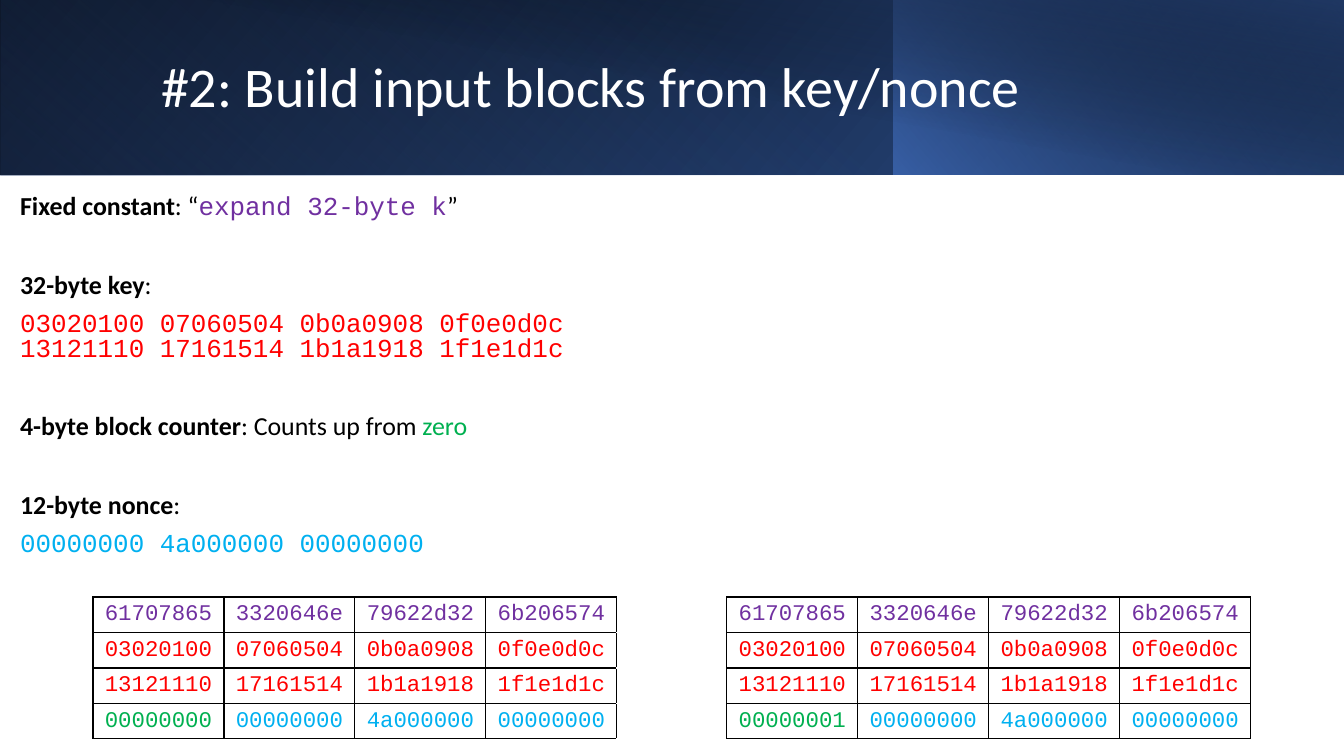
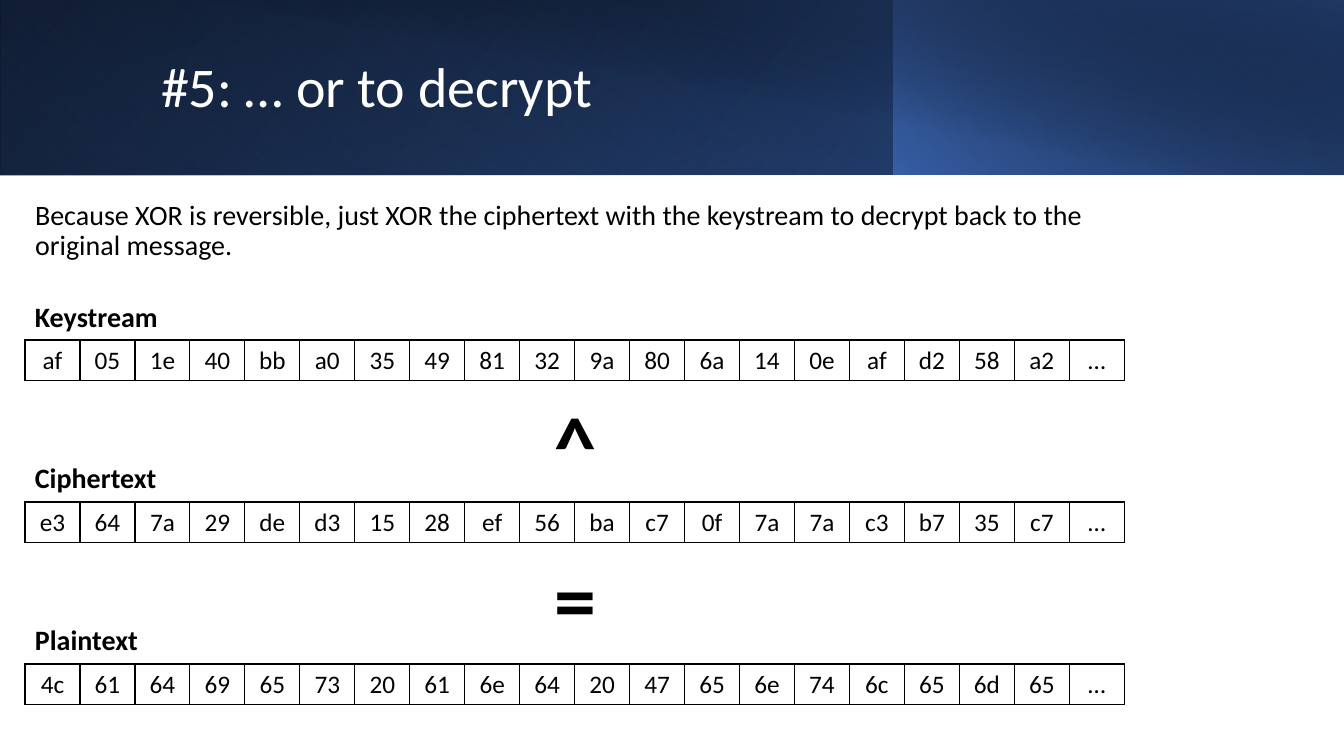
from lxml import etree
from pptx import Presentation
from pptx import util as u
from pptx.dml.color import RGBColor
from pptx.enum import shapes, text
from pptx.oxml import ns

SCALE = 914400 / 100.8
WIDTH, HEIGHT = 1344, 756
SANS, MONO = "Calibri", "Courier New"

BLACK = RGBColor(0x00, 0x00, 0x00)
WHITE = RGBColor(0xFF, 0xFF, 0xFF)
NAVY = RGBColor(0x20, 0x38, 0x64)
ROYAL = RGBColor(0x2F, 0x55, 0x97)
AZURE = RGBColor(0x44, 0x72, 0xC4)
PURPLE = RGBColor(0x70, 0x30, 0xA0)
RED = RGBColor(0xFF, 0x00, 0x00)
GREEN = RGBColor(0x00, 0xB0, 0x50)
CYAN = RGBColor(0x00, 0xB0, 0xF0)

# Each layer: box, flipped, rotation, angle, (position, colour, opacity) stops
BAND_LAYERS = [
    ((0, 0, WIDTH, 175), True, 0, 140, [(0, BLACK, 100), (100, ROYAL, 100)]),
    ((0, 0, 895, 175), True, 180, 230, [(20, AZURE, 0), (100, NAVY, 55)]),
    ((894, 0, 450, 175), True, 0, 220, [(0, AZURE, 66), (100, BLACK, 30)]),
    ((50, 0, 1294, 176), False, 0, 280, [(50, BLACK, 0), (99, NAVY, 52)]),
]
TITLE_BOX = (151, 32, 1091, 114)

KEY_ROWS = ["03020100 07060504 0b0a0908 0f0e0d0c",
            "13121110 17161514 1b1a1918 1f1e1d1c"]
NONCE = "00000000 4a000000 00000000"
CONSTANT_WORDS = "61707865 3320646e 79622d32 6b206574"
BLOCK_COUNTERS = ["00000000", "00000001"]

STREAMS = [
    ("Keystream", 298, "af 05 1e 40 bb a0 35 49 81 32 9a 80 6a 14 0e af d2 58 a2 …"),
    ("Ciphertext", 459, "e3 64 7a 29 de d3 15 28 ef 56 ba c7 0f 7a 7a c3 b7 35 c7 …"),
    ("Plaintext", 621, "4c 61 64 69 65 73 20 61 6e 64 20 47 65 6e 74 6c 65 6d 65 …"),
]
OPERATORS = [("^", 388), ("=", 542)]


def px(length):
    """Turn pixels into EMU."""
    return u.Emu(round(length * SCALE))


def place(item, box):
    """Move an item to a pixel box."""
    item.left, item.top, item.width, item.height = map(px, box)


def style_font(run, size, colour=BLACK, face=SANS, bold=False):
    """Format one run."""
    run.font.size, run.font.name, run.font.bold = u.Pt(size), face, bold
    run.font.color.rgb = colour


def space(paragraph, line, before):
    """Set line spacing and the gap above, with no bullet or indent."""
    paragraph.line_spacing, paragraph.space_before = line, u.Pt(before)
    properties = paragraph._p.get_or_add_pPr()
    properties.set("marL", "0")
    properties.set("indent", "0")
    etree.SubElement(properties, ns.qn("a:buNone"))


def band(slide):
    """Lay the gradient title band behind everything else."""
    for depth, (box, flipped, turn, angle, stops) in enumerate(BAND_LAYERS):
        layer = slide.shapes.add_shape(shapes.MSO_SHAPE.RECTANGLE, *map(px, box))
        layer.shadow.inherit = False
        layer.line.fill.background()
        layer.rotation = turn
        if flipped:
            layer._element.spPr.xfrm.set("flipH", "1")
        layer.fill.gradient()
        layer.fill.gradient_angle = 360 - angle
        for stop, (position, colour, _) in zip(layer.fill.gradient_stops, stops):
            stop.position, stop.color.rgb = position / 100, colour
        colours = list(layer._element.spPr.iter(ns.qn("a:srgbClr")))
        for colour, (_, _, opacity) in zip(colours, stops):
            etree.SubElement(colour, ns.qn("a:alpha"), val=str(opacity * 1000))
        slide.shapes._spTree.insert(2 + depth, layer._element)


def titled_slide(deck, heading):
    """Add a slide with the band and its title."""
    slide = deck.slides.add_slide(deck.slide_layouts[1])
    band(slide)
    title = slide.shapes.title
    place(title, TITLE_BOX)
    frame = title.text_frame
    frame.text = heading
    frame.auto_size = text.MSO_AUTO_SIZE.NONE
    frame.vertical_anchor = text.MSO_ANCHOR.MIDDLE
    line = frame.paragraphs[0]
    line.alignment, line.line_spacing = text.PP_ALIGN.LEFT, 0.9
    style_font(line.runs[0], 40, WHITE)
    return slide


def body_frame(slide, box):
    """Place the body placeholder and return its text frame."""
    body = slide.placeholders[1]
    place(body, box)
    body.text_frame.auto_size = text.MSO_AUTO_SIZE.NONE
    return body.text_frame


def caption(slide, box, words, size):
    """Add a bold text box."""
    frame = slide.shapes.add_textbox(*map(px, box)).text_frame
    frame.word_wrap = True
    frame.text = words
    style_font(frame.paragraphs[0].runs[0], size, bold=True)
    return frame


def border(cell, sides):
    """Draw thin black borders on the given sides of a cell."""
    properties = cell._tc.get_or_add_tcPr()
    for side in sides:
        edge = etree.SubElement(properties, ns.qn(f"a:ln{side}"), w="12700")
        fill = etree.SubElement(edge, ns.qn("a:solidFill"))
        etree.SubElement(fill, ns.qn("a:srgbClr"), val=str(BLACK))
    cell.fill.background()


def word_table(slide, box, widths, rows, size, face, anchor):
    """Add a bordered table of (word, colour) cells; None leaves a gap."""
    frame = slide.shapes.add_table(len(rows), len(widths), *map(px, box))
    table = frame.table
    table.first_row = table.horz_banding = False
    for column, width in zip(table.columns, widths):
        column.width = px(width)
    for r, row in enumerate(rows):
        for c, entry in enumerate(row):
            cell = table.cell(r, c)
            border(cell, "LRTB" if entry else "LR")
            if entry is None:
                cell.margin_top = cell.margin_bottom = 0
                continue
            cell.text, colour = entry
            cell.vertical_anchor = anchor
            line = cell.text_frame.paragraphs[0]
            line.alignment = text.PP_ALIGN.CENTER
            style_font(line.runs[0], size, colour, face)


def input_list(slide, box):
    """Write the inputs that make up a block."""
    size, near, far = 18.5, 10, 38
    entries = [
        (near, [("Fixed constant", BLACK, SANS, True), (": “", BLACK, SANS, False),
                ("expand 32-byte k", PURPLE, MONO, False), ("”", BLACK, SANS, False)]),
        (far, [("32-byte key", BLACK, SANS, True), (":", BLACK, SANS, False)]),
        (near, [(KEY_ROWS[0], RED, MONO, False), None, (KEY_ROWS[1], RED, MONO, False)]),
        (far, [("4-byte block counter", BLACK, SANS, True),
               (": Counts up from ", BLACK, SANS, False), ("zero", GREEN, SANS, False)]),
        (far, [("12-byte nonce", BLACK, SANS, True), (": ", BLACK, SANS, False)]),
        (near, [(NONCE, CYAN, MONO, False)]),
    ]
    frame = body_frame(slide, box)
    for index, (before, pieces) in enumerate(entries):
        line = frame.add_paragraph() if index else frame.paragraphs[0]
        space(line, 0.8, before)
        for piece in pieces:
            if piece is None:
                line.add_line_break()
                continue
            words, colour, face, bold = piece
            run = line.add_run()
            run.text = words
            style_font(run, size, colour, face, bold)
        for line_break in line._p.findall(ns.qn("a:br")):
            etree.SubElement(line_break, ns.qn("a:rPr"), sz=str(round(size * 100)))


def block_rows(counter):
    """Return the four coloured rows of one input block."""
    rows = [[(word, colour) for word in words.split()]
            for words, colour in [(CONSTANT_WORDS, PURPLE),
                                  (KEY_ROWS[0], RED), (KEY_ROWS[1], RED)]]
    return rows + [[(counter, GREEN)] + [(word, CYAN) for word in NONCE.split()]]


def input_blocks(slide, box):
    """Show two input blocks side by side in one table."""
    first, second = map(block_rows, BLOCK_COUNTERS)
    rows = [left + [None] + right for left, right in zip(first, second)]
    word_width = 131
    gap = box[2] - 8 * word_width
    widths = [word_width] * 4 + [gap] + [word_width] * 4
    word_table(slide, box, widths, rows, 16, MONO, text.MSO_ANCHOR.MIDDLE)


def xor_streams(slide, box):
    """Stack the byte streams with the operators between them."""
    left, top, width, height = box
    row_height = 40
    step = (height - row_height) / (len(STREAMS) - 1)
    for index, (label, label_top, stream) in enumerate(STREAMS):
        row = [(byte, BLACK) for byte in stream.split()]
        word_table(slide, (left, top + index * step, width, row_height),
                   [width / len(row)] * len(row), [row], 18, SANS, text.MSO_ANCHOR.TOP)
        frame = caption(slide, (left, label_top, 340, 40), label, 20)
        space(frame.paragraphs[0], 0.9, 10)
    operator_width = 84
    operator_left = left + (width - operator_width) / 2
    for sign, sign_top in OPERATORS:
        frame = caption(slide, (operator_left, sign_top, operator_width, 112), sign, 60)
        frame.auto_size = text.MSO_AUTO_SIZE.SHAPE_TO_FIT_TEXT
        frame.paragraphs[0].alignment = text.PP_ALIGN.CENTER


def build_slide(deck):
    """Build the slide on input blocks."""
    slide = titled_slide(deck, "#2: Build input blocks from key/nonce")
    input_list(slide, (10, 191, 625, 406))
    input_blocks(slide, (93, 597, 1158, 142))


def decrypt_slide(deck):
    """Build the slide on decryption."""
    slide = titled_slide(deck, "#5: … or to decrypt")
    frame = body_frame(slide, (25, 196, 1101, 79))
    frame.text = ("Because XOR is reversible, just XOR the ciphertext with the "
                  "keystream to decrypt back to the original message.")
    space(frame.paragraphs[0], 0.9, 10)
    style_font(frame.paragraphs[0].runs[0], 20)
    xor_streams(slide, (25, 340, 1100, 364))


def main():
    """Build and save the deck."""
    deck = Presentation()
    deck.slide_width, deck.slide_height = px(WIDTH), px(HEIGHT)
    build_slide(deck)
    decrypt_slide(deck)
    deck.save("out.pptx")


main()
